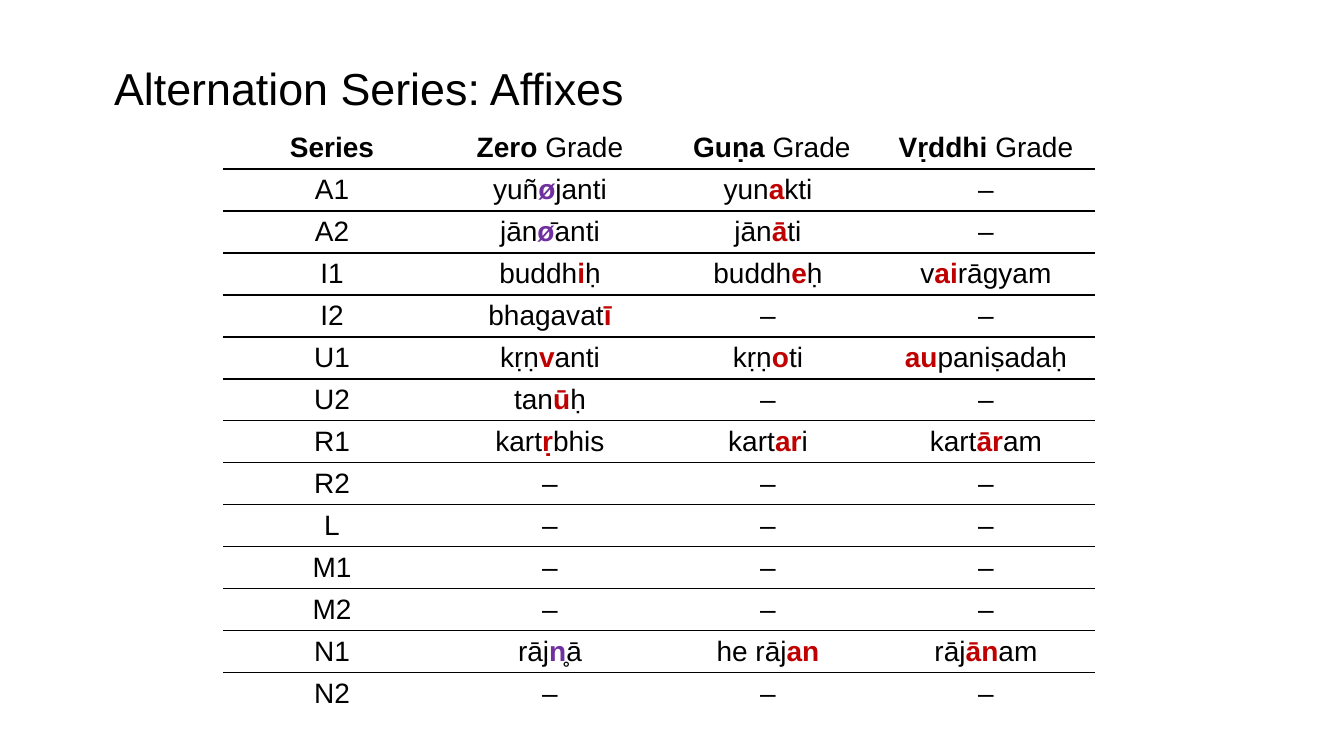
import pptx
import pptx.util
import pptx.dml.color
import pptx.enum.text
import pptx.oxml.ns
from lxml import etree

# Content: text between bars is emphasised
TITLE = "Alternation Series: Affixes"
HEADINGS = ("|Series|", "|Zero |Grade", "| Guṇa |Grade", "|Vṛddhi |Grade")
SERIES = [
    ("A1", "yuñ|ø|janti", "yun|a|kti", "–"),
    ("A2", "jān|ø|̄anti", "jān|ā|ti", "–"),
    ("I1", "buddh|i|ḥ", "buddh|e|ḥ", "v|ai|rāgyam"),
    ("I2", "bhagavat|ī|", "–", "–"),
    ("U1", "kṛṇ|v|anti", "kṛṇ|o|ti", "|au|paniṣadaḥ"),
    ("U2", "tan|ū|ḥ", "–", "–"),
    ("R1", "kart|ṛ|bhis", "kart|ar|i", "kart|ār|am"),
    ("R2", "–", "–", "–"),
    ("L", "–", "–", "–"),
    ("M1", "–", "–", "–"),
    ("M2", "–", "–", "–"),
    ("N1", "rāj|n|̥ā", "he rāj|an|", "rāj|ān|am"),
    ("N2", "–", "–", "–"),
]
PURPLE_SOUNDS = ("ø", "n")

BLACK = pptx.dml.color.RGBColor(0x00, 0x00, 0x00)
WHITE = pptx.dml.color.RGBColor(0xFF, 0xFF, 0xFF)
RED = pptx.dml.color.RGBColor(0xC0, 0x00, 0x00)
PURPLE = pptx.dml.color.RGBColor(0x70, 0x30, 0xA0)
FONT = "Arial"
PLAIN_TABLE_STYLE = "{2D5ABB26-0587-4C30-8999-92F81FD0307C}"

# Geometry in px
SLIDE_W, SLIDE_H = 1344, 756
TITLE_BOX = (104, 55, 1175, 65)
TABLE_LEFT, TABLE_TOP = 223, 127
COLUMN_W, ROW_H = 218, 42


def px(length):
    return pptx.util.Emu(round(length * 914400 / 100.8))


def write(frame, text, size=20, align=pptx.enum.text.PP_ALIGN.CENTER, emphasis=None):
    """Write text; parts between bars are bold, in the emphasis colour."""
    paragraph = frame.paragraphs[0]
    paragraph.alignment = align
    for index, part in enumerate(text.split("|")):
        if not part:
            continue
        marked = index % 2 == 1
        run = paragraph.add_run()
        run.text = part
        run.font.name = FONT
        run.font.size = pptx.util.Pt(size)
        run.font.bold = marked
        colour = BLACK
        if marked and emphasis is None:
            colour = PURPLE if part in PURPLE_SOUNDS else RED
        elif marked:
            colour = emphasis
        run.font.color.rgb = colour


def rule_below(cell):
    line = etree.Element(pptx.oxml.ns.qn("a:lnB"), w=str(pptx.util.Pt(1)))
    fill = etree.SubElement(line, pptx.oxml.ns.qn("a:solidFill"))
    etree.SubElement(fill, pptx.oxml.ns.qn("a:srgbClr"), val=str(BLACK))
    cell._tc.get_or_add_tcPr().insert(0, line)


def main():
    deck = pptx.Presentation()
    deck.slide_width, deck.slide_height = px(SLIDE_W), px(SLIDE_H)
    slide = deck.slides.add_slide(deck.slide_layouts[5])

    # Title
    title = slide.shapes.title
    title.left, title.top, title.width, title.height = map(px, TITLE_BOX)
    title.text_frame.vertical_anchor = pptx.enum.text.MSO_ANCHOR.MIDDLE
    write(title.text_frame, TITLE, size=32, align=pptx.enum.text.PP_ALIGN.LEFT)

    # Table of grades
    rows = [HEADINGS] + SERIES
    grades = slide.shapes.add_table(
        len(rows), len(HEADINGS), px(TABLE_LEFT), px(TABLE_TOP),
        px(COLUMN_W * len(HEADINGS)), px(ROW_H * len(rows))).table
    grades.first_row = grades.horz_banding = False
    grades._tbl.tblPr.find(pptx.oxml.ns.qn("a:tableStyleId")).text = PLAIN_TABLE_STYLE
    for r, row in enumerate(rows):
        for c, text in enumerate(row):
            cell = grades.cell(r, c)
            cell.fill.solid()
            cell.fill.fore_color.rgb = WHITE
            write(cell.text_frame, text, emphasis=BLACK if r == 0 else None)
            if r < len(rows) - 1:
                rule_below(cell)

    deck.save("out.pptx")


if __name__ == "__main__":
    main()
